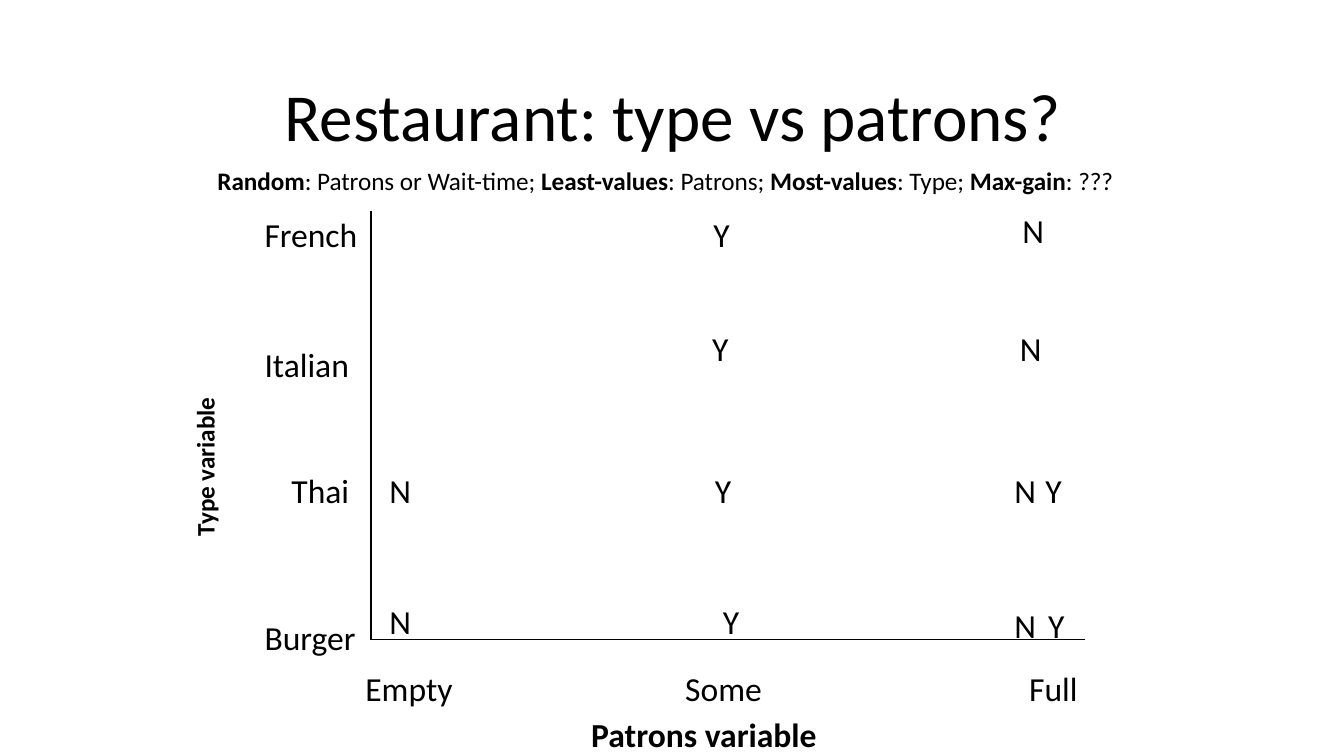
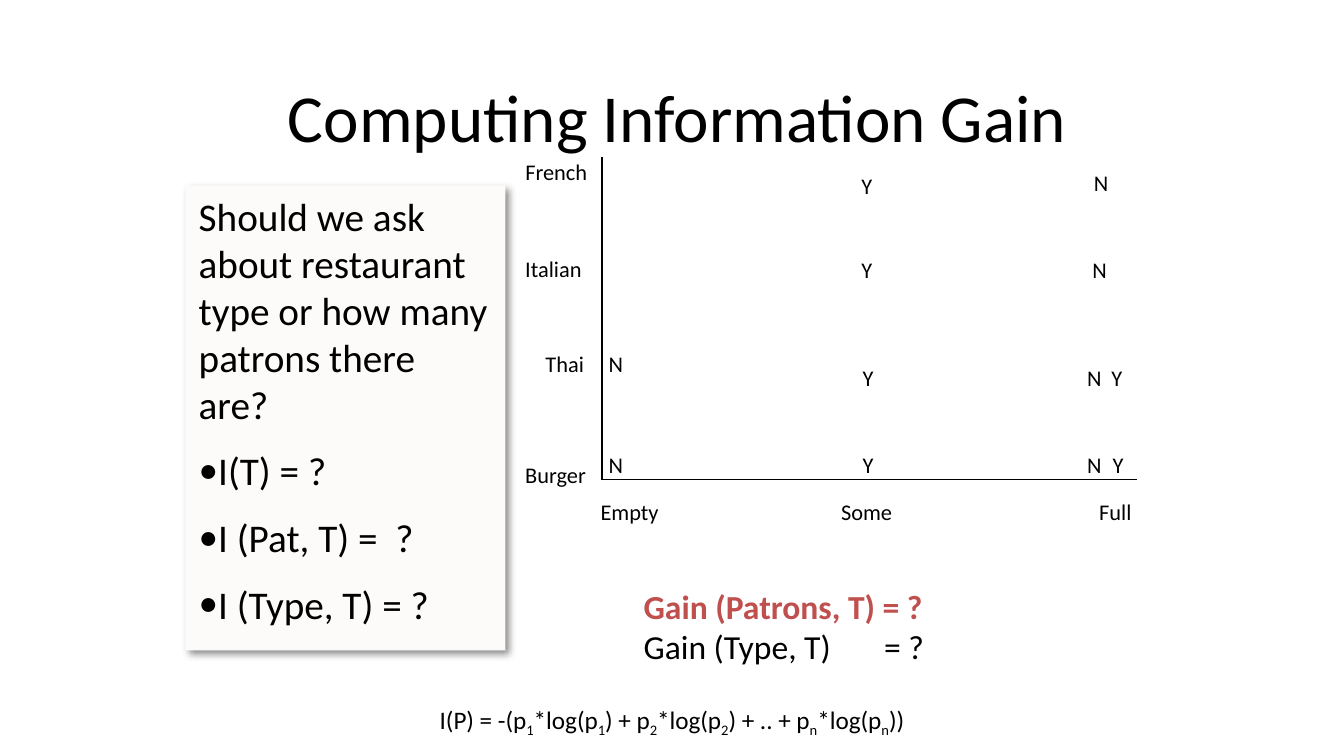
from lxml.etree import SubElement
from pptx import Presentation
from pptx.dml.color import RGBColor
from pptx.enum.shapes import MSO_CONNECTOR, MSO_SHAPE
from pptx.enum.text import MSO_ANCHOR, MSO_AUTO_SIZE, PP_ALIGN
from pptx.oxml.ns import qn
from pptx.util import Inches, Pt

# Shared style
BLACK = RGBColor(0x00, 0x00, 0x00)
RED = RGBColor(0xC0, 0x50, 0x4D)
CREAM = RGBColor(0xFC, 0xFB, 0xF9)
FONT = "Calibri"
BOLD = {"bold": True}
SUBSCRIPT = {"baseline": "-25000"}

# Axis labels: text, width at 18 pt, position on slide 1, position on slide 2
LABELS = [
    ("French", 0.9, (1.87, 1.54), (3.81, 1.13)),
    ("Italian", 0.84, (1.87, 2.51), (3.81, 1.85)),
    ("Thai", 0.64, (2.07, 3.45), (3.96, 2.56)),
    ("Burger", 0.89, (1.87, 4.54), (3.81, 3.38)),
    ("Empty", 0.86, (2.62, 4.92), (4.37, 3.66)),
    ("Some", 0.78, (5, 4.92), (6.16, 3.66)),
    ("Full", 0.57, (7.56, 4.92), (8.08, 3.66)),
]

# Outcomes in the plot, in the same form
OUTCOMES = [
    ("Y", 0.32, (5.21, 1.54), (6.31, 1.23)),
    ("Y", 0.32, (5.2, 2.39), (6.31, 1.86)),
    ("Y", 0.32, (5.22, 3.45), (6.32, 2.66)),
    ("Y", 0.32, (5.28, 4.42), (6.32, 3.31)),
    ("Y", 0.32, (7.68, 3.45), (8.17, 2.66)),
    ("Y", 0.32, (7.7, 4.45), (8.18, 3.31)),
    ("N", 0.36, (7.45, 4.45), (7.99, 3.31)),
    ("N", 0.36, (7.45, 3.45), (7.99, 2.66)),
    ("N", 0.36, (7.49, 2.39), (8.03, 1.86)),
    ("N", 0.36, (7.51, 1.51), (8.04, 1.21)),
    ("N", 0.36, (2.8, 3.45), (4.43, 2.56)),
    ("N", 0.36, (2.8, 4.42), (4.43, 3.31)),
]


def add_run(paragraph, text, size, values):
    run = paragraph.add_run()
    run.text = text
    font_format = {"name": FONT, "size": Pt(size), "bold": False, **values}
    color = font_format.pop("color", BLACK)
    baseline = font_format.pop("baseline", None)
    for name, value in font_format.items():
        setattr(run.font, name, value)
    run.font.color.rgb = color
    if baseline:
        run.font._element.set("baseline", baseline)


def fill_paragraph(paragraph, runs, size, align=PP_ALIGN.LEFT):
    paragraph.alignment = align
    for text, values in runs:
        add_run(paragraph, text, size, values)


def add_text(shapes, box, runs, size, align=PP_ALIGN.LEFT, **frame_values):
    """Add a text box with one paragraph made of (text, format) runs."""
    shape = shapes.add_textbox(*map(Inches, box))
    frame_format = {
        "word_wrap": True,
        "auto_size": MSO_AUTO_SIZE.SHAPE_TO_FIT_TEXT,
        **frame_values,
    }
    for name, value in frame_format.items():
        setattr(shape.text_frame, name, value)
    fill_paragraph(shape.text_frame.paragraphs[0], runs, size, align)
    return shape


def add_title(slide, text, box):
    add_text(slide.shapes, box, [(text, {})], 36, PP_ALIGN.CENTER,
             auto_size=MSO_AUTO_SIZE.NONE, vertical_anchor=MSO_ANCHOR.MIDDLE)


def add_axis(shapes, start, end):
    line = shapes.add_connector(MSO_CONNECTOR.STRAIGHT,
                                *map(Inches, start + end))
    line.line.color.rgb = BLACK
    line.line.width = Pt(0.75)
    SubElement(line.element.spPr, qn("a:effectLst"))


def add_plot(shapes, top, origin, right, size, variant):
    """Draw both axes, their labels and the outcomes."""
    add_axis(shapes, (origin[0], top), origin)
    add_axis(shapes, origin, (right, origin[1]))
    scale = size / 18
    for text, full_width, *positions in LABELS + OUTCOMES:
        width = (full_width - 0.2) * scale + 0.2
        height = 0.3 * scale + 0.1
        add_text(shapes, (*positions[variant], width, height),
                 [(text, {})], size, word_wrap=False)


def add_shadow(shape):
    effects = SubElement(shape.element.spPr, qn("a:effectLst"))
    shadow = SubElement(effects, qn("a:outerShdw"), blurRad=str(Pt(4)),
                        dist=str(Pt(3)), dir=str(45 * 60000))
    color = SubElement(shadow, qn("a:srgbClr"), val=str(BLACK))
    SubElement(color, qn("a:alpha"), val="43000")


def add_question_panel(slide, box, question, items):
    panel = slide.shapes.add_shape(MSO_SHAPE.RECTANGLE, *map(Inches, box))
    panel.fill.solid()
    panel.fill.fore_color.rgb = CREAM
    panel.line.fill.background()
    add_shadow(panel)
    frame = panel.text_frame
    frame.word_wrap = True
    frame.vertical_anchor = MSO_ANCHOR.TOP
    fill_paragraph(frame.paragraphs[0], [(question, {})], 21)
    for item in items:
        paragraph = frame.add_paragraph()
        paragraph.space_before = Pt(10.5)
        properties = paragraph._p.get_or_add_pPr()
        SubElement(properties, qn("a:buFont"), typeface=FONT)
        SubElement(properties, qn("a:buChar"), char="•")
        fill_paragraph(paragraph, [(item, {})], 21)


def add_gains(slide, box):
    red_bold = {"bold": True, "color": RED}
    shape = add_text(slide.shapes, box, [("Gain (Patrons, T) = ?", red_bold)], 18)
    paragraph = shape.text_frame.add_paragraph()
    tabs = SubElement(paragraph._p.get_or_add_pPr(), qn("a:tabLst"))
    SubElement(tabs, qn("a:tab"), pos=str(Inches(1.79)), algn="l")
    fill_paragraph(paragraph, [("Gain (Type, T)\t= ?", {})], 18)


def build_restaurant_slide(slide):
    add_title(slide, "Restaurant: type vs patrons?", (0.81, 0.38, 8.39, 0.94))
    plot = slide.shapes.add_group_shape()
    add_plot(plot.shapes, 1.57, (2.76, 4.76), 8.07, 18, 0)

    # Strategies and axis names
    strategies = [
        ("Random", BOLD), (": Patrons or Wait-time; ", {}),
        ("Least-values", BOLD), (": Patrons; ", {}),
        ("Most-values", BOLD), (": Type; ", {}),
        ("Max-gain", BOLD), (": ???", {}),
    ]
    add_text(slide.shapes, (1.52, 1.18, 7.93, 0.33), strategies, 13.5)
    add_text(slide.shapes, (4.3, 5.26, 1.89, 0.4),
             [("Patrons variable", BOLD)], 18, word_wrap=False)
    type_name = add_text(slide.shapes, (1.36, 2.94, 0.43, 1.15),
                         [("Type variable", BOLD)], 13.5, word_wrap=False)
    type_name.element.txBody.find(qn("a:bodyPr")).set("vert", "vert270")


def build_gain_slide(slide):
    add_title(slide, "Computing Information Gain", (1.29, 0.39, 7.5, 0.94))
    add_plot(slide.shapes, 1.17, (4.48, 3.57), 8.46, 12, 1)

    # Questions and gains
    add_question_panel(
        slide, (1.38, 1.38, 2.38, 3.46),
        "Should we ask about restaurant type or how many patrons there are?",
        ["I(T) = ?", "I (Pat, T) =  ?", "I (Type, T) = ?"])
    add_gains(slide, (4.69, 4.31, 3.19, 0.71))

    # Information formula
    formula = [("I(P) = -(p", {})]
    for index, ending in (("1", ") + p"), ("2", ") + .. + p"), ("n", "))")):
        formula += [(index, SUBSCRIPT), ("*log(p", {}),
                    (index, SUBSCRIPT), (ending, {})]
    add_text(slide.shapes, (1.25, 5.19, 7.5, 0.33), formula, 13.5,
             PP_ALIGN.CENTER)


def main():
    presentation = Presentation()
    # Widescreen, 16 to 9
    presentation.slide_width = Inches(10)
    presentation.slide_height = Inches(10 * 9 / 16)
    blank_layout = presentation.slide_layouts[6]
    for build in (build_restaurant_slide, build_gain_slide):
        build(presentation.slides.add_slide(blank_layout))
    presentation.save("out.pptx")


if __name__ == "__main__":
    main()
